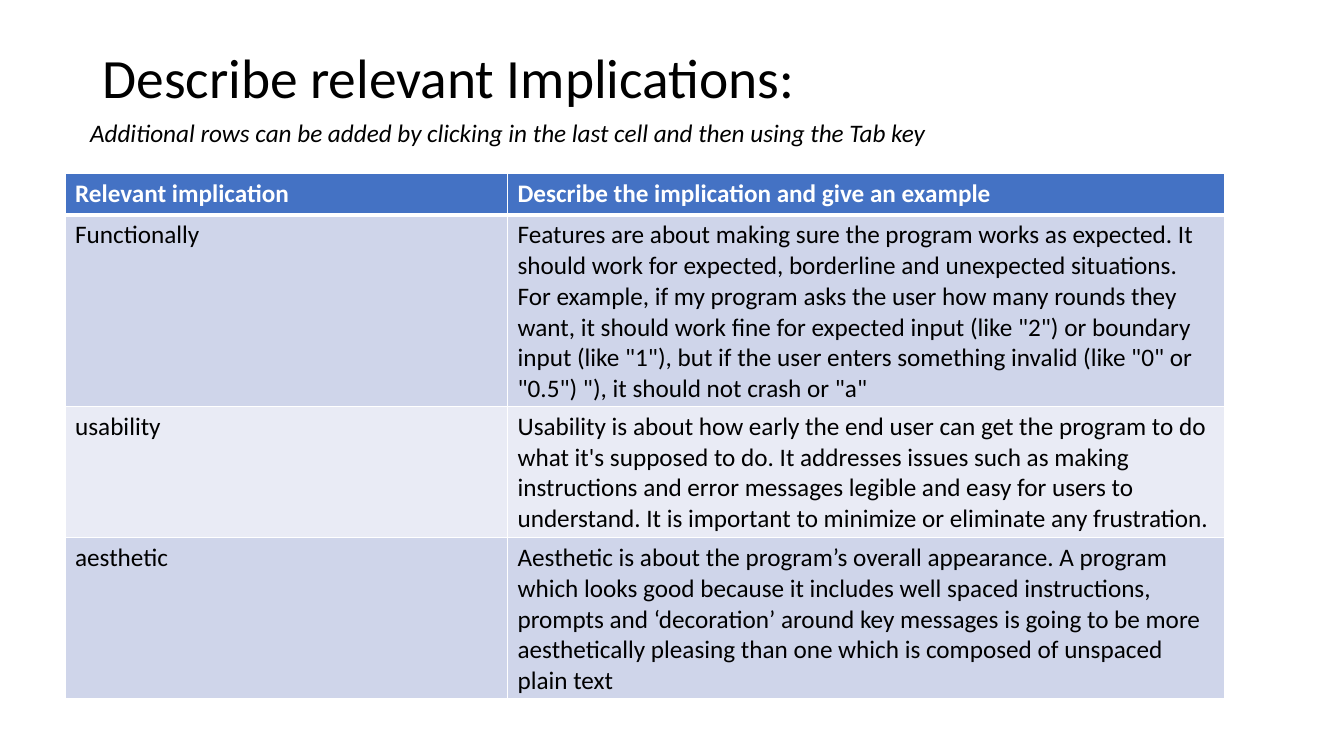
from dataclasses import dataclass

from lxml.etree import SubElement
from pptx import Presentation
from pptx.dml.color import RGBColor
from pptx.enum.text import MSO_ANCHOR, MSO_AUTO_SIZE, PP_ALIGN
from pptx.oxml.ns import qn
from pptx.util import Cm, Pt

COLORS = {
    "black": "000000",
    "white": "FFFFFF",
    "header": "4472C4",
    "odd_row": "CFD5EA",
    "even_row": "E9EBF5",
}


@dataclass(frozen=True)
class Implication:
    name: str
    description: str
    height: float


HEADER = Implication(
    "Relevant implication", "Describe the implication and give an example", 1.03
)
IMPLICATIONS = [
    Implication(
        "Functionally",
        "Features are about making sure the program works as expected. It should work "
        "for expected, borderline and unexpected situations. For example, if my program "
        "asks the user how many rounds they want, it should work fine for expected input "
        '(like "2") or boundary input (like "1"), but if the user enters something '
        'invalid (like "0" or "0.5") "), it should not crash or "a"',
        4.83,
    ),
    Implication(
        "usability",
        "Usability is about how early the end user can get the program to do what it's "
        "supposed to do. It addresses issues such as making instructions and error "
        "messages legible and easy for users to understand. It is important to minimize "
        "or eliminate any frustration.",
        3.3,
    ),
    Implication(
        "aesthetic",
        "Aesthetic is about the program’s overall appearance. A program which looks good "
        "because it includes well spaced instructions, prompts and ‘decoration’ around "
        "key messages is going to be more aesthetically pleasing than one which is "
        "composed of unspaced plain text",
        4.06,
    ),
]
COLUMN_WIDTHS = (11.15, 18.06)


def write_text(text_frame, text: str, color: str = "black", **font_format) -> None:
    """Put one formatted run in the first paragraph."""
    run = text_frame.paragraphs[0].add_run()
    run.text = text
    font_values = {"name": "Calibri", "size": Pt(18), "bold": False, **font_format}
    for attribute, value in font_values.items():
        setattr(run.font, attribute, value)
    run.font.color.rgb = RGBColor.from_string(COLORS[color])


def set_borders(cell, bottom_width: float) -> None:
    """Draw white borders, which must come before the fill in the cell properties."""
    properties = cell._tc.get_or_add_tcPr()
    widths = {"a:lnL": 1, "a:lnR": 1, "a:lnT": 1, "a:lnB": bottom_width}
    for index, (tag, width) in enumerate(widths.items()):
        line = SubElement(properties, qn(tag), w=str(Pt(width)))
        fill = SubElement(line, qn("a:solidFill"))
        SubElement(fill, qn("a:srgbClr"), val=COLORS["white"])
        properties.insert(index, line)


def fill_row(table, row_index: int, implication: Implication) -> None:
    is_header = row_index == 0
    row_color = "header" if is_header else "odd_row" if row_index % 2 else "even_row"
    table.rows[row_index].height = Cm(implication.height)
    for column, text in enumerate((implication.name, implication.description)):
        cell = table.cell(row_index, column)
        cell.fill.solid()
        cell.fill.fore_color.rgb = RGBColor.from_string(COLORS[row_color])
        set_borders(cell, 3 if is_header else 1)
        write_text(
            cell.text_frame, text, "white" if is_header else "black", bold=is_header
        )


presentation = Presentation()
presentation.slide_width = Cm(33.87)
presentation.slide_height = Cm(19.05)
slide = presentation.slides.add_slide(presentation.slide_layouts[5])

# Title
title = slide.shapes.title
title_position = {
    "left": Cm(2.33), "top": Cm(1.02), "width": Cm(29.21), "height": Cm(1.55),
}
for attribute, value in title_position.items():
    setattr(title, attribute, value)
title_frame = title.text_frame
title_frame.auto_size = MSO_AUTO_SIZE.NONE
title_frame.vertical_anchor = MSO_ANCHOR.MIDDLE
title_frame.paragraphs[0].alignment = PP_ALIGN.LEFT
title_frame.paragraphs[0].line_spacing = 1.15
write_text(title_frame, "Describe relevant Implications:", size=Pt(39.6))

# Hint below the title
hint = slide.shapes.add_textbox(Cm(2.02), Cm(2.84), Cm(27.79), Cm(1.03))
hint.text_frame.word_wrap = True
hint.text_frame.auto_size = MSO_AUTO_SIZE.SHAPE_TO_FIT_TEXT
write_text(
    hint.text_frame,
    "Additional rows can be added by clicking in the last cell and then using the Tab key",
    italic=True,
)

# Table of implications
table_rows = [HEADER, *IMPLICATIONS]
table = slide.shapes.add_table(
    len(table_rows), len(COLUMN_WIDTHS), Cm(1.64), Cm(4.38),
    Cm(sum(COLUMN_WIDTHS)), Cm(sum(row.height for row in table_rows)),
).table
for column, width in zip(table.columns, COLUMN_WIDTHS):
    column.width = Cm(width)
for row_index, implication in enumerate(table_rows):
    fill_row(table, row_index, implication)

presentation.save("out.pptx")
